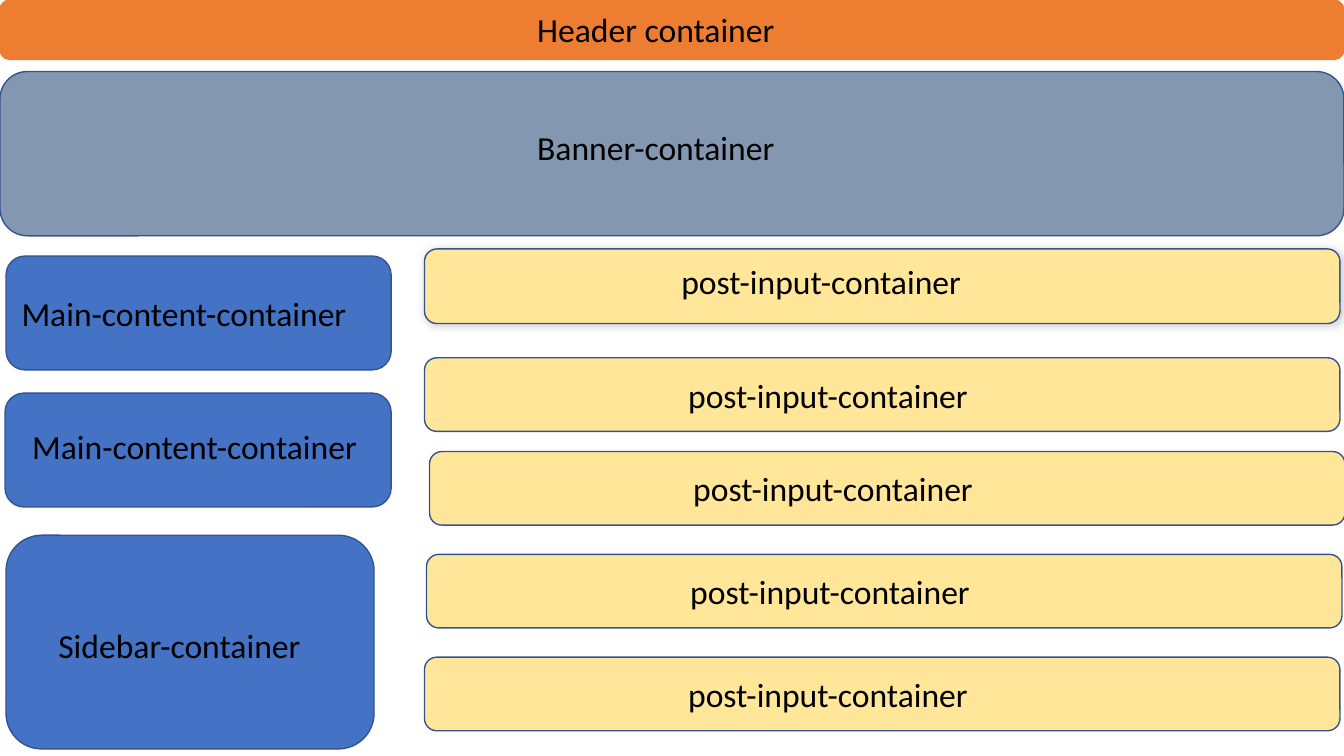
from lxml import etree
from pptx import Presentation
from pptx.dml.color import RGBColor
from pptx.enum.shapes import MSO_SHAPE
from pptx.enum.text import MSO_ANCHOR, MSO_AUTO_SIZE, PP_ALIGN
from pptx.oxml.ns import qn
from pptx.util import Inches, Pt

ORANGE, SLATE, BLUE, YELLOW, OUTLINE = "ED7D31", "8497B0", "4472C4", "FFE699", "325491"


def set_label(shape, text, margin_left=0.1):
    frame = shape.text_frame
    frame.word_wrap = True
    frame.margin_left = Inches(margin_left)
    paragraph = frame.paragraphs[0]
    paragraph.text = text
    paragraph.alignment = PP_ALIGN.LEFT
    paragraph.font.name = "Calibri"
    paragraph.font.size = Pt(24)
    paragraph.font.color.rgb = RGBColor.from_string("000000")


def add_container(left, top, width, height, fill, line=OUTLINE):
    shape = slide.shapes.add_shape(
        MSO_SHAPE.ROUNDED_RECTANGLE, Inches(left), Inches(top), Inches(width), Inches(height)
    )
    shape.shadow.inherit = False
    shape.fill.solid()
    shape.fill.fore_color.rgb = RGBColor.from_string(fill)
    shape.line.color.rgb = RGBColor.from_string(line)
    shape.line.width = Pt(1)
    shape.text_frame.vertical_anchor = MSO_ANCHOR.MIDDLE
    return shape


presentation = Presentation()
presentation.slide_width = Inches(13.33)
presentation.slide_height = Inches(7.5)
slide = presentation.slides.add_slide(presentation.slide_layouts[6])

add_container(0, 0, 13.33, 0.59, ORANGE, ORANGE)
add_container(0, 0.71, 13.33, 1.63, SLATE)

main_content = add_container(0.06, 2.54, 3.82, 1.13, BLUE)
set_label(main_content, "Main-content-container")
add_container(0.05, 3.9, 3.83, 1.13, BLUE)
add_container(0.06, 5.31, 3.65, 2.12, BLUE)

first_post = add_container(4.21, 2.47, 9.08, 0.74, YELLOW)
effects = first_post.shadow._element.find(qn("a:effectLst"))
shadow = etree.SubElement(
    effects, qn("a:outerShdw"), blurRad=str(Pt(6)), dist=str(Pt(1)), dir=str(45 * 60000)
)
shadow_color = etree.SubElement(shadow, qn("a:srgbClr"), val="000000")
etree.SubElement(shadow_color, qn("a:alpha"), val="20000")

for left, top in [(4.21, 3.55), (4.26, 4.48), (4.23, 5.5), (4.21, 6.52)]:
    post = add_container(left, top, 9.08, 0.73, YELLOW)
    set_label(post, "post-input-container", margin_left=2.58)

labels = [
    ("Header container", 5.23, 0.04, 2.86),
    ("Banner-container", 5.23, 1.21, 3.77),
    ("Main-content-container", 0.22, 4.18, 3.82),
    ("Sidebar-container", 0.48, 6.15, 2.95),
    ("post-input-container", 6.66, 2.54, 3.64),
]
for text, left, top, width in labels:
    label = slide.shapes.add_textbox(Inches(left), Inches(top), Inches(width), Inches(0.5))
    set_label(label, text)
    label.text_frame.auto_size = MSO_AUTO_SIZE.SHAPE_TO_FIT_TEXT

presentation.save("out.pptx")
